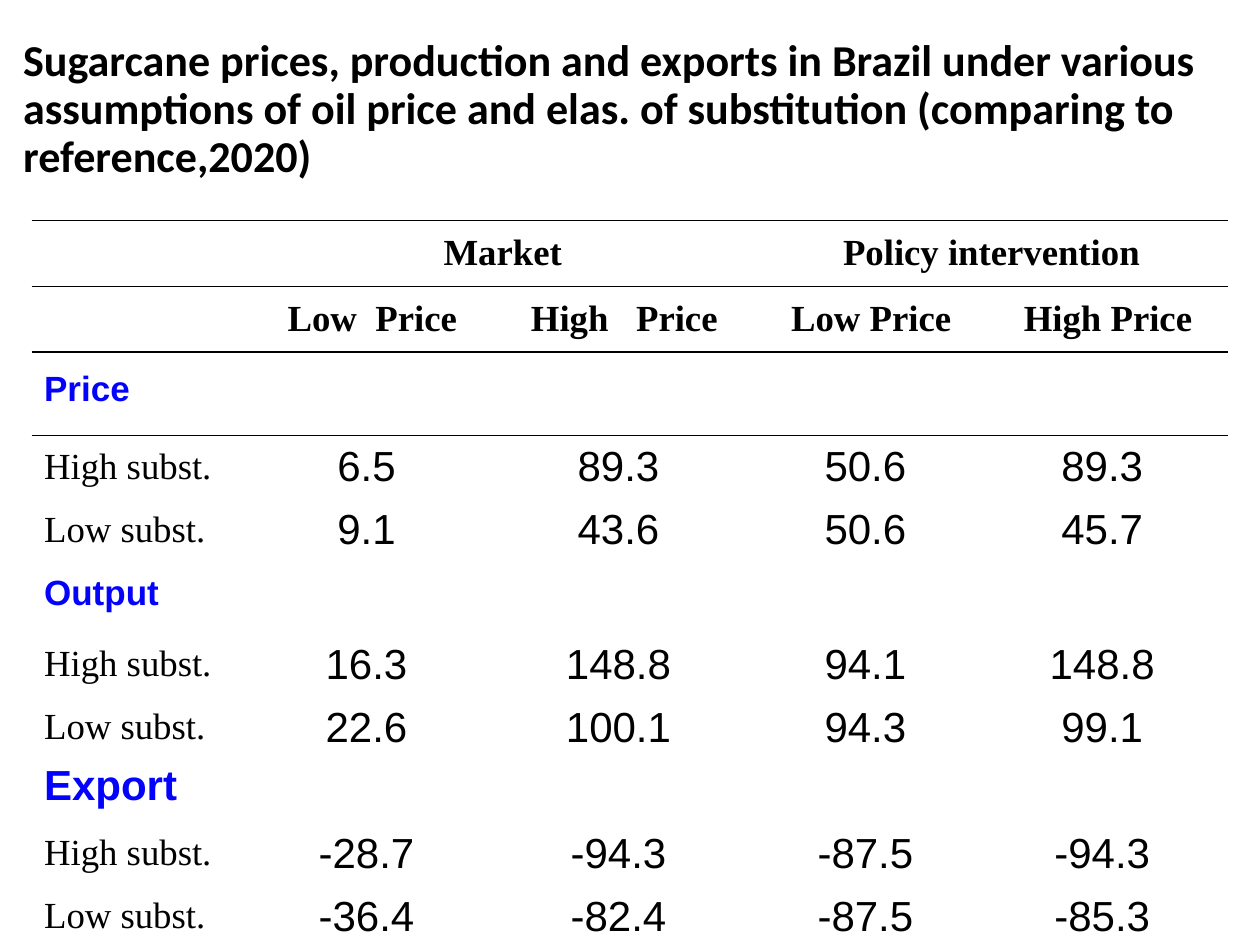
from lxml.etree import SubElement
from pptx import Presentation
from pptx.dml.color import RGBColor
from pptx.enum.text import MSO_ANCHOR, MSO_AUTO_SIZE, PP_ALIGN
from pptx.oxml import parse_xml
from pptx.oxml.ns import nsdecls, qn
from pptx.util import Pt

BLACK = RGBColor(0x00, 0x00, 0x00)
BLUE = RGBColor(0x03, 0x03, 0xFD)
SERIF, SANS, TITLE_FONT = "Times New Roman", "Arial", "Calibri"
NO_STYLE = "{2D5ABB26-0587-4C30-8999-92F81FD0307C}"

COLUMNS = [125.3, 139, 149, 133.2, 137.5]
HEADER_H, ROW_H = 37.6, 36
GROUPS = [  # name, size, row height, values by substitution level
    ("Price", 20, 47.6, {
        "High subst.": ["6.5 ", "89.3 ", "50.6 ", "89.3 "],
        "Low subst.": ["9.1 ", "43.6 ", "50.6 ", "45.7 "]}),
    ("Output", 20, 41, {
        "High subst.": ["16.3 ", "148.8 ", "94.1 ", "148.8 "],
        "Low subst.": ["22.6 ", "100.1 ", "94.3 ", "99.1 "]}),
    ("Export", 24, ROW_H, {
        "High subst.": ["-28.7 ", "-94.3 ", "-87.5 ", "-94.3 "],
        "Low subst.": ["-36.4 ", "-82.4 ", "-87.5 ", "-85.3 "]}),
]


class SlideBuilder:
    def __init__(self, s):
        self.s = s

    def run(self, p, text, size, font, color=BLACK, bold=False):
        r = p.add_run()
        r.text = text
        r.font.size, r.font.name, r.font.bold = Pt(size), font, bold
        r.font.color.rgb = color

    def title(self, text, left, top, width, height):
        sp = self.s.shapes.title
        sp.left, sp.top, sp.width, sp.height = map(Pt, (left, top, width, height))
        tf = sp.text_frame
        tf.word_wrap = True
        tf.auto_size = MSO_AUTO_SIZE.NONE
        tf.vertical_anchor = MSO_ANCHOR.MIDDLE
        p = tf.paragraphs[0]
        p.alignment, p.line_spacing = PP_ALIGN.LEFT, 0.9
        self.run(p, text, 25.2, TITLE_FONT, bold=True)

    def table(self, left, top, widths, heights):
        frame = self.s.shapes.add_table(
            len(heights), len(widths), Pt(left), Pt(top),
            Pt(sum(widths)), Pt(sum(heights)))
        table = frame.table
        table.first_row = table.horz_banding = False
        table._tbl.tblPr.find(qn("a:tableStyleId")).text = NO_STYLE
        for column, width in zip(table.columns, widths):
            column.width = Pt(width)
        for row, height in zip(table.rows, heights):
            row.height = Pt(height)
        for cell in table.iter_cells():
            cell.fill.background()
        return table

    def cell(self, cell, text, size, font, color=BLACK, bold=False,
             align=PP_ALIGN.CENTER, spacing=None):
        cell.vertical_anchor = MSO_ANCHOR.MIDDLE
        p = cell.text_frame.paragraphs[0]
        p.alignment = align
        if spacing:
            p.line_spacing = spacing
        self.run(p, text, size, font, color, bold)

    def border(self, cell, sides):
        tcPr = cell._tc.get_or_add_tcPr()
        for i, side in enumerate(sides):
            ln = parse_xml(f'<a:ln{side} {nsdecls("a")} w="12700"/>')
            fill = SubElement(ln, qn("a:solidFill"))
            SubElement(fill, qn("a:srgbClr"), val=str(BLACK))
            tcPr.insert(i, ln)


def main():
    prs = Presentation()
    prs.slide_width, prs.slide_height = Pt(720), Pt(540)
    b = SlideBuilder(prs.slides.add_slide(prs.slide_layouts[5]))

    # Title
    b.title("Sugarcane prices, production and exports in Brazil under various "
            "assumptions of oil price and elas. of substitution "
            "(comparing to reference,2020)", 6, 18, 702, 90)

    # Table grid
    heights = [HEADER_H] * 2
    for _, _, height, levels in GROUPS:
        heights += [height] + [ROW_H] * len(levels)
    table = b.table(18, 126, COLUMNS, heights)

    # Two header rows, ruled above and below
    for col, text in ((1, "Market"), (3, "Policy intervention")):
        table.cell(0, col).merge(table.cell(0, col + 1))
        b.cell(table.cell(0, col), text, 21, SERIF, bold=True)
    prices = ["Low  Price", "High   Price", "Low Price", "High Price"]
    for col, text in enumerate(prices, 1):
        b.cell(table.cell(1, col), text, 21, SERIF, bold=True)
    for row, sides in enumerate(("TB", "TB", "T")):
        for col in range(len(COLUMNS)):
            b.border(table.cell(row, col), sides)

    # Groups of results
    row = 2
    for name, size, _, levels in GROUPS:
        b.cell(table.cell(row, 0), name, size, SANS, BLUE, True,
               PP_ALIGN.LEFT, 0.7)
        for row, (level, values) in enumerate(levels.items(), row + 1):
            b.cell(table.cell(row, 0), level, 21, SERIF, align=PP_ALIGN.LEFT)
            for col, value in enumerate(values, 1):
                b.cell(table.cell(row, col), value, 24, SANS)
        row += 1

    prs.save("out.pptx")


if __name__ == "__main__":
    main()
